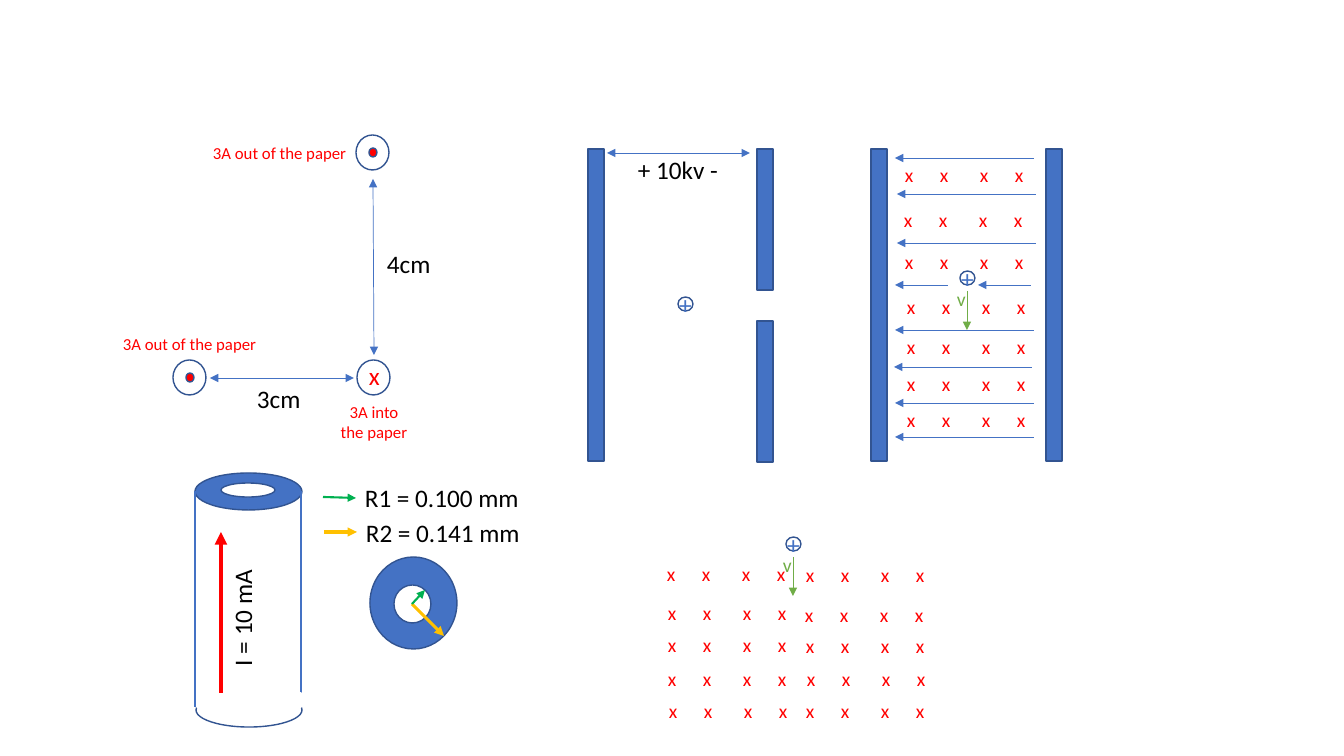
"""Build a slide of magnetic field and moving charge diagrams."""
from lxml.etree import SubElement
from pptx import Presentation
from pptx.dml.color import RGBColor
from pptx.enum.shapes import MSO_CONNECTOR, MSO_SHAPE
from pptx.enum.text import MSO_ANCHOR, PP_ALIGN
from pptx.oxml.ns import qn
from pptx.util import Pt

PIXEL = 914400 / 100.8
BLUE, OUTLINE, WHITE, BLACK = "4472C4", "325491", "FFFFFF", "000000"
RED, GREEN, LEAF, GOLD = "FF0000", "00B050", "70AD47", "FFC000"
OVAL, RECTANGLE = MSO_SHAPE.OVAL, MSO_SHAPE.RECTANGLE

deck = Presentation()
deck.slide_width, deck.slide_height = round(1344 * PIXEL), round(756 * PIXEL)
page = deck.slides.add_slide(deck.slide_layouts[6])


def add_box(text, *place, kind=None, fill=WHITE, line=OUTLINE, size=18, color=BLACK,
            align=PP_ALIGN.LEFT, tabs=(), turn=0):
    """Add a text box, or a preset shape when a kind is given."""
    lengths = [round(length * PIXEL) for length in place]
    if kind is None:
        box = page.shapes.add_textbox(*lengths)
    else:
        box = page.shapes.add_shape(kind, *lengths)
        box.shadow.inherit = False
        box.fill.solid()
        box.fill.fore_color.rgb = RGBColor.from_string(fill)
        box.line.color.rgb = RGBColor.from_string(line)
        box.line.width = Pt(1)
    box.rotation = turn
    if not text:
        return
    frame = box.text_frame
    frame.word_wrap = bool(tabs)
    if kind is not None:
        frame.margin_left = frame.margin_right = frame.margin_top = frame.margin_bottom = 0
        frame.vertical_anchor = MSO_ANCHOR.MIDDLE
    for index, words in enumerate(text.split("\n")):
        para = frame.add_paragraph() if index else frame.paragraphs[0]
        para.alignment = align
        if tabs:
            stops = SubElement(para._p.get_or_add_pPr(), qn("a:tabLst"))
            for stop in tabs:
                SubElement(stops, qn("a:tab"), pos=str(round(stop * PIXEL)), algn="l")
        span = para.add_run()
        span.text = words
        span.font.name = "Calibri"
        span.font.size = Pt(size)
        span.font.color.rgb = RGBColor.from_string(color)


def add_line(*ends, color=BLUE, width=0.5, heads=("tailEnd",)):
    """Add a straight line with triangular arrowheads at the named ends."""
    connector = page.shapes.add_connector(
        MSO_CONNECTOR.STRAIGHT, *[round(end * PIXEL) for end in ends])
    connector.line.color.rgb = RGBColor.from_string(color)
    connector.line.width = Pt(width)
    for head in heads:
        SubElement(connector.line._get_or_add_ln(), qn(f"a:{head}"), type="triangle")
    SubElement(connector._element.spPr, qn("a:effectLst"))


BOTH = ("headEnd", "tailEnd")

for left, top in [(173, 360), (357, 360), (356, 135)]:
    add_box("", left, top, 33, 35, kind=OVAL)
for left, top in [(186, 373), (369, 148)]:
    add_box("", left, top, 8, 9, kind=OVAL, fill=RED)
add_box("x", 359, 355, 31, 40, color=RED)
add_line(210, 378, 354, 378, heads=BOTH)
add_line(373, 179, 374, 355, heads=BOTH)
add_box("3cm", 247, 378, 65, 40)
add_box("4cm", 377, 243, 65, 40)
for left, top in [(113, 329), (203, 138)]:
    add_box("3A out of the paper", left, top, 155, 30, size=12, color=RED)
add_box("3A into\nthe paper", 330, 397, 88, 50, size=12, color=RED, align=PP_ALIGN.CENTER)

plates = [(588, 149, 312), (757, 149, 141), (757, 321, 141), (871, 149, 312), (1046, 149, 312)]
for left, top, height in plates:
    add_box("", left, top, 16, height, kind=RECTANGLE, fill=BLUE)
add_line(607, 153, 750, 153, heads=BOTH)
add_box("+ 10kv -", 628, 149, 103, 40)

field_rows = [(895, 158), (894, 203), (895, 245), (897, 290), (897, 330), (897, 367), (897, 403)]
left_rows = [(657, 557), (658, 596), (658, 628), (658, 662), (659, 694)]
right_rows = [(796, 558), (795, 598), (796, 629), (797, 662), (796, 694)]
for left, top in field_rows + left_rows + right_rows:
    add_box("x\tx\tx\tx", left, top, 139, 34, size=14, color=RED, tabs=(35, 75, 110))

field_lines = [(1034, 895, 158), (1036, 897, 194), (1036, 897, 243), (948, 895, 285),
               (1031, 978, 285), (1034, 895, 330), (1032, 894, 367), (1034, 895, 403),
               (1034, 895, 437)]
for start, end, height in field_lines:
    add_line(start, height, end, height)

moving_ions = [(960, 271), (786, 537)]
for left, top in moving_ions:
    add_line(left + 7, top + 20, left + 7, top + 59, color=LEAF)
    add_box("v", left - 13, top + 11, 29, 34, size=14, color=LEAF)
for left, top in [(678, 297)] + moving_ions:
    add_box("+", left, top, 15, 14, kind=OVAL, color=BLUE, align=PP_ALIGN.CENTER)

add_box("", 195, 473, 107, 37, kind=OVAL, fill=BLUE)
add_box("", 221, 483, 54, 14, kind=OVAL)
for side in (195, 301):
    add_line(side, 491, side, 707, width=1, heads=())
add_box("", 196, 693, 106, 34, kind=OVAL)
add_box("", 197, 693, 104, 14, kind=RECTANGLE, line=WHITE)
add_line(221, 693, 221, 532, color=RED, width=3)
add_box("I = 10 mA", 183, 597, 118, 40, turn=270)

add_box("", 370, 557, 87, 92, kind=OVAL, fill=BLUE)
add_box("", 394, 585, 37, 38, kind=OVAL)
add_line(412, 604, 444, 636, color=GOLD, width=2.25)
add_line(412, 604, 425, 590, color=GREEN, width=1.5)
add_box("R1 = 0.100 mm", 355, 477, 177, 40)
add_box("R2 = 0.141 mm", 356, 512, 177, 40)
add_line(323, 497, 356, 498, color=GREEN, width=1.5)
add_line(324, 532, 357, 532, color=GOLD, width=2.25)

deck.save("out.pptx")
